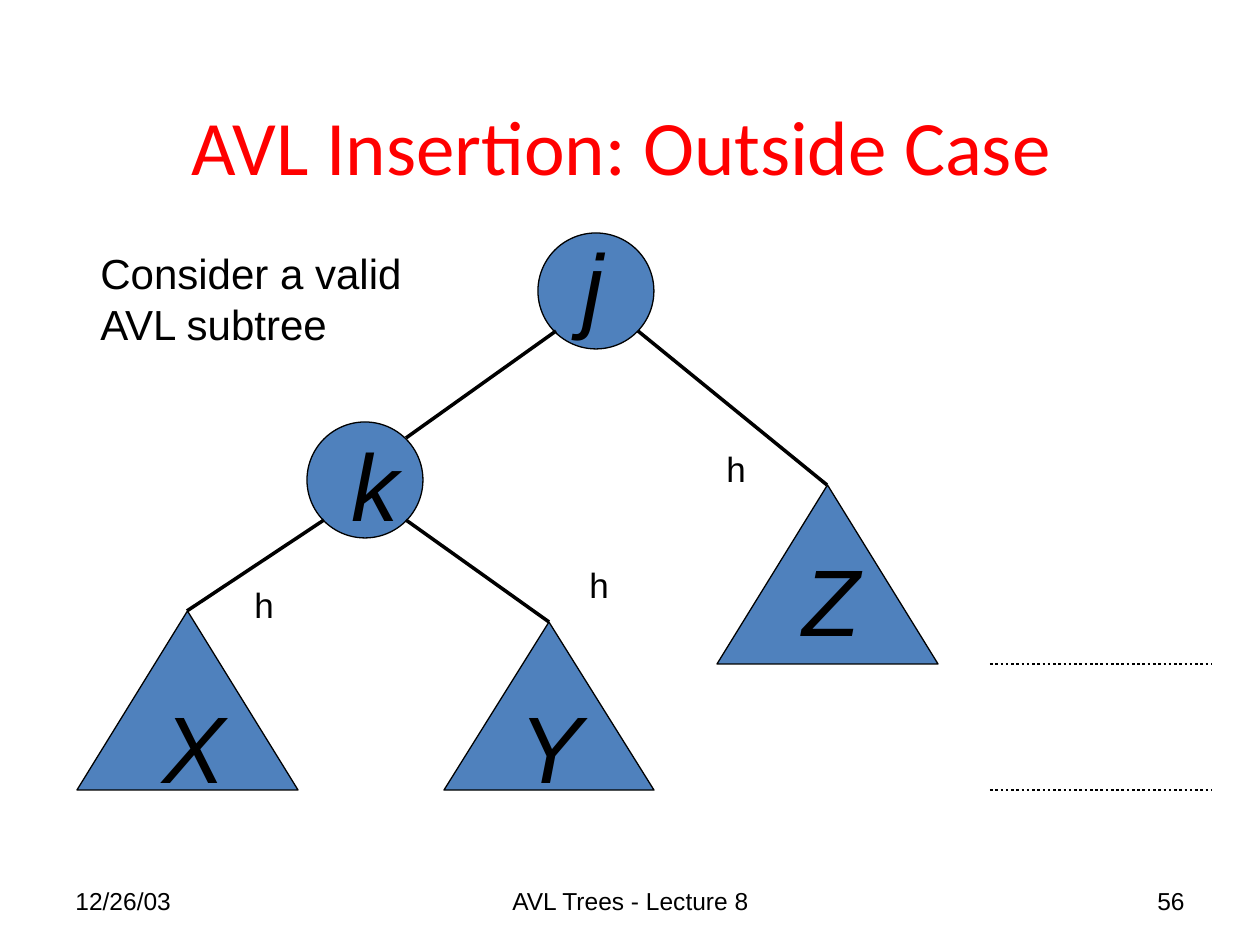
from lxml.etree import SubElement
from pptx import Presentation
from pptx.dml.color import RGBColor
from pptx.enum.dml import MSO_LINE
from pptx.enum.shapes import MSO_CONNECTOR, MSO_SHAPE
from pptx.enum.text import MSO_ANCHOR as ANCHOR, PP_ALIGN as ALIGN
from pptx.oxml.ns import qn
from pptx.util import Pt

PX = 914400 / 126
COLORS = {"ink": "000000", "node": "4F81BD", "title": "FF0000"}


def scaled(*lengths):
    return [round(length * PX) for length in lengths]


def add_text(text, box, size, font="Arial", color="ink", italic=False,
             align=ALIGN.LEFT, anchor=ANCHOR.TOP, wrap=True, top=6):
    """Add a text box with one paragraph for each line of text."""
    frame = slide.shapes.add_textbox(*scaled(*box)).text_frame
    frame.word_wrap = wrap
    frame.vertical_anchor = anchor
    frame.margin_top = scaled(top)[0]
    frame.text = text
    for paragraph in frame.paragraphs:
        paragraph.alignment = align
        paragraph.font.name = font
        paragraph.font.size = Pt(size)
        paragraph.font.italic = italic
        paragraph.font.color.rgb = RGBColor.from_string(COLORS[color])


presentation = Presentation()
presentation.slide_width, presentation.slide_height = scaled(1260, 945)
slide = presentation.slides.add_slide(presentation.slide_layouts[6])

# Footer
for text, left, width, align in [
    ("12/26/03", 63, 294, ALIGN.LEFT),
    ("AVL Trees - Lecture 8", 431, 399, ALIGN.CENTER),
    ("56", 903, 294, ALIGN.RIGHT),
]:
    add_text(text, (left, 876, width, 50), 14, align=align, anchor=ANCHOR.MIDDLE)

# Tree nodes and subtrees, each with the top left corner of its letter
for letter, preset, box, letter_left, letter_top in [
    ("j", MSO_SHAPE.OVAL, (538, 233, 116, 116), 570, 212),
    ("k", MSO_SHAPE.OVAL, (307, 422, 116, 116), 339, 412),
    ("X", MSO_SHAPE.ISOSCELES_TRIANGLE, (77, 611, 221, 179), 150, 674),
    ("Y", MSO_SHAPE.ISOSCELES_TRIANGLE, (444, 622, 210, 168), 507, 674),
    ("Z", MSO_SHAPE.ISOSCELES_TRIANGLE, (717, 485, 221, 179), 790, 527),
]:
    shape = slide.shapes.add_shape(preset, *scaled(*box))
    shape.shadow.inherit = False
    shape.fill.solid()
    shape.fill.fore_color.rgb = RGBColor.from_string(COLORS["node"])
    shape.line.color.rgb = RGBColor.from_string(COLORS["ink"])
    shape.line.width = Pt(0.75)
    add_text(letter, (letter_left, letter_top, 71, 126), 54, italic=True, top=15)

# Tree edges, then the dotted level marks
for ends, width, dash in [
    ((556, 331, 406, 438), 2, None),
    ((324, 520, 187, 611), 2, None),
    ((406, 520, 549, 622), 2, None),
    ((638, 331, 827, 485), 2, None),
    ((990, 664, 1211, 664), 1.5, MSO_LINE.ROUND_DOT),
    ((990, 790, 1211, 790), 1.5, MSO_LINE.ROUND_DOT),
]:
    connector = slide.shapes.add_connector(MSO_CONNECTOR.STRAIGHT, *scaled(*ends))
    connector.line.color.rgb = RGBColor.from_string(COLORS["ink"])
    connector.line.width = Pt(width)
    connector.line.dash_style = dash
    SubElement(connector._element.spPr, qn("a:effectLst"))

# Subtree heights
for left, top in [(714, 441), (242, 577), (577, 557)]:
    add_text("h", (left, top, 45, 54), 20, wrap=False)

add_text("Consider a valid\nAVL subtree", (88, 242, 328, 113), 24, wrap=False)
add_text("AVL Insertion: Outside Case ", (92, 89, 1077, 111), 44, font="Calibri",
         color="title", align=ALIGN.CENTER, anchor=ANCHOR.MIDDLE)

presentation.save("out.pptx")
